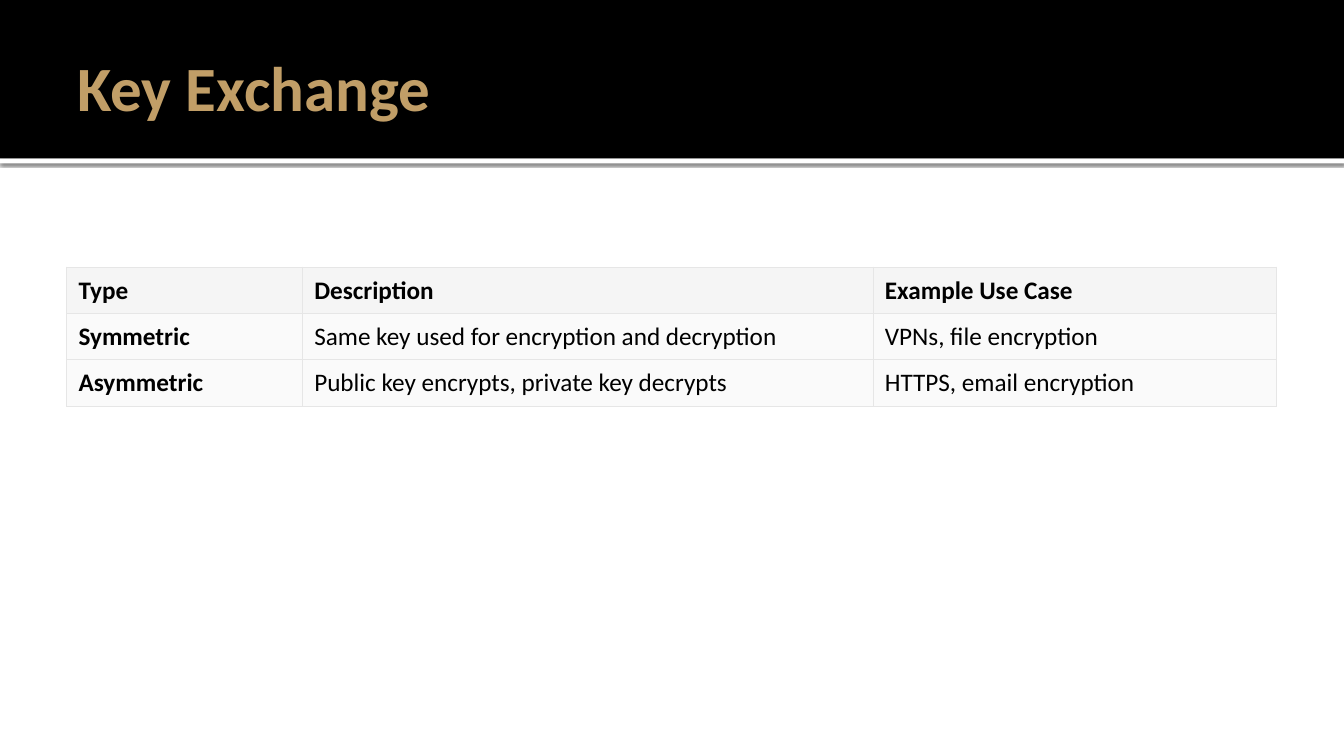
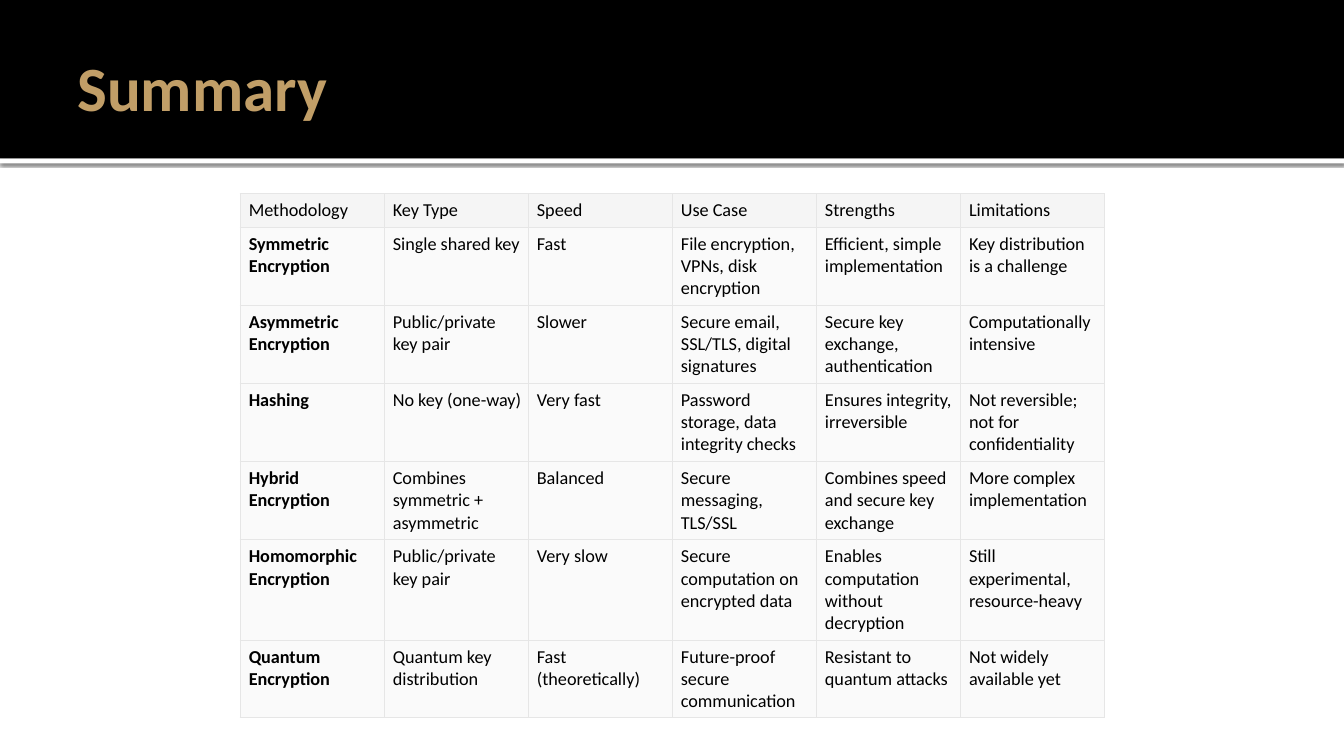
"""Build two slides on encryption, each a title band above a table."""
from lxml import etree
from pptx import Presentation
from pptx.dml.color import RGBColor
from pptx.enum.shapes import MSO_SHAPE
from pptx.enum.text import MSO_ANCHOR, MSO_AUTO_SIZE, PP_ALIGN
from pptx.oxml import parse_xml
from pptx.oxml.ns import nsdecls, qn
from pptx.util import Cm, Pt

RECT = MSO_SHAPE.RECTANGLE
MIDDLE = MSO_ANCHOR.MIDDLE
LEFT = PP_ALIGN.LEFT
FIXED = MSO_AUTO_SIZE.NONE

BLACK = RGBColor(0x00, 0x00, 0x00)
WHITE = RGBColor(0xFF, 0xFF, 0xFF)
GOLD = RGBColor(0xC1, 0x9E, 0x67)
HEAD = RGBColor(0xF5, 0xF5, 0xF5)
BODY = RGBColor(0xFA, 0xFA, 0xFA)
RULE = RGBColor(0xE6, 0xE6, 0xE6)
FONT = "Calibri"
WIDTH = 33.87

PAGES = [
    {
        "title": "Key Exchange",
        "at": (1.68, 6.73),
        "cols": [5.94, 14.38, 10.16],
        "rows": [1.17] * 3,
        "pads": (0.3, 0.2, 0.2, 0.18),
        "size": 18,
        "bold": True,
        "data": [
            ["Type", "Description", "Example Use Case"],
            ["Symmetric", "Same key used for encryption and decryption",
             "VPNs, file encryption"],
            ["Asymmetric", "Public key encrypts, private key decrypts",
             "HTTPS, email encryption"],
        ],
    },
    {
        "title": "Summary",
        "at": (6.05, 4.88),
        "cols": [3.63] * 6,
        "rows": [0.84] + [1.97] * 4 + [2.53, 1.95],
        "pads": (0.22, 0.15, 0.15, 0.12),
        "size": 13,
        "bold": False,
        "data": [
            ["Methodology", "Key Type", "Speed", "Use Case", "Strengths",
             "Limitations"],
            ["Symmetric Encryption", "Single shared key", "Fast",
             "File encryption, VPNs, disk encryption",
             "Efficient, simple implementation",
             "Key distribution is a challenge"],
            ["Asymmetric Encryption", "Public/private key pair", "Slower",
             "Secure email, SSL/TLS, digital signatures",
             "Secure key exchange, authentication",
             "Computationally intensive"],
            ["Hashing", "No key (one-way)", "Very fast",
             "Password storage, data integrity checks",
             "Ensures integrity, irreversible",
             "Not reversible; not for confidentiality"],
            ["Hybrid Encryption", "Combines symmetric + asymmetric",
             "Balanced", "Secure messaging, TLS/SSL",
             "Combines speed and secure key exchange",
             "More complex implementation"],
            ["Homomorphic Encryption", "Public/private key pair",
             "Very slow", "Secure computation on encrypted data",
             "Enables computation without decryption",
             "Still experimental, resource-heavy"],
            ["Quantum Encryption", "Quantum key distribution",
             "Fast (theoretically)", "Future-proof secure communication",
             "Resistant to quantum attacks", "Not widely available yet"],
        ],
    },
]


def style(para, size, color, bold):
    para.alignment = LEFT
    para.font.name = FONT
    para.font.size = Pt(size)
    para.font.color.rgb = color
    para.font.bold = bold


def border(cell):
    props = cell._tc.get_or_add_tcPr()
    for side in ("a:lnL", "a:lnR", "a:lnT", "a:lnB"):
        line = etree.SubElement(props, qn(side), w=str(Pt(0.75)))
        fill = etree.SubElement(line, qn("a:solidFill"))
        etree.SubElement(fill, qn("a:srgbClr"), val=str(RULE))


deck = Presentation()
deck.slide_width = Cm(WIDTH)
deck.slide_height = Cm(19.05)
layout = deck.slide_layouts[5]
slides = [deck.slides.add_slide(layout) for page in PAGES]

bands = []
for top, height, color in ((0, 3.99, BLACK), (3.99, 0.13, WHITE)):
    band = slides[0].shapes.add_shape(
        RECT, 0, Cm(top), Cm(WIDTH), Cm(height))
    band.shadow.inherit = False
    band.fill.solid()
    band.fill.fore_color.rgb = color
    band.line.fill.background()
    layout.shapes.element.insert(2, band.element)
    bands.append(band)

effects = bands[1].element.spPr.find(qn("a:effectLst"))
effects.append(parse_xml(
    f'<a:outerShdw {nsdecls("a")} blurRad="{Pt(2.5)}" dist="{Pt(0.8)}" '
    'dir="5400000" algn="tl" rotWithShape="0">'
    f'<a:srgbClr val="{BLACK}"><a:alpha val="60000"/></a:srgbClr>'
    '</a:outerShdw>'))

for slide, page in zip(slides, PAGES):
    title = slide.shapes.title
    title.left, title.top = Cm(1.7), Cm(0.43)
    title.width, title.height = Cm(30.48), Cm(3.48)
    frame = title.text_frame
    frame.text = page["title"]
    frame.auto_size = FIXED
    frame.vertical_anchor = MIDDLE
    frame.margin_left = Cm(0.25)
    frame.margin_right = frame.margin_top = frame.margin_bottom = Cm(0.13)
    style(frame.paragraphs[0], 45, GOLD, True)

    left, top = page["at"]
    cols, rows = page["cols"], page["rows"]
    table = slide.shapes.add_table(
        len(rows), len(cols), Cm(left), Cm(top),
        Cm(sum(cols)), Cm(sum(rows))).table
    for col, width in zip(table.columns, cols):
        col.width = Cm(width)
    for row, height in zip(table.rows, rows):
        row.height = Cm(height)

    pads = [Cm(pad) for pad in page["pads"]]
    for r, words in enumerate(page["data"]):
        for c, word in enumerate(words):
            cell = table.cell(r, c)
            cell.text = word
            (cell.margin_left, cell.margin_top,
             cell.margin_right, cell.margin_bottom) = pads
            border(cell)
            cell.fill.solid()
            cell.fill.fore_color.rgb = BODY if r else HEAD
            bold = c == 0 if r else page["bold"]
            style(cell.text_frame.paragraphs[0], page["size"], BLACK, bold)

deck.save("out.pptx")
